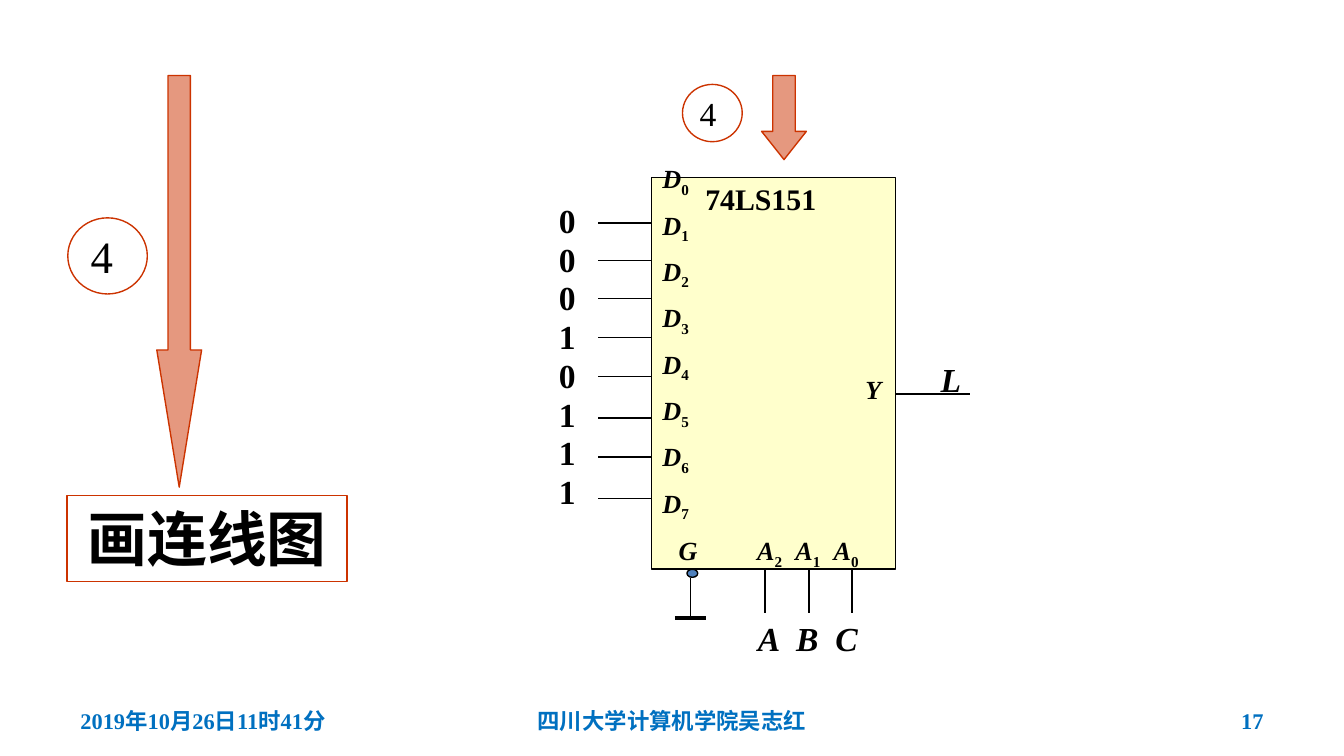
from typing import NamedTuple

from lxml.etree import SubElement
from pptx import Presentation
from pptx.dml.color import RGBColor
from pptx.enum.shapes import MSO_CONNECTOR as Connector, MSO_SHAPE as Preset
from pptx.enum.text import MSO_ANCHOR as Anchor, MSO_AUTO_SIZE as AutoSize, PP_ALIGN as Align
from pptx.oxml.ns import qn
from pptx.util import Pt

BLACK = RGBColor(0x00, 0x00, 0x00)
RED = RGBColor(0xCC, 0x33, 0x00)
YELLOW = RGBColor(0xFF, 0xFF, 0xCC)
BLUE = RGBColor(0x4F, 0x81, 0xBD)
FOOTER_BLUE = RGBColor(0x00, 0x70, 0xC0)
FONT = "Times New Roman"


class Box(NamedTuple):
    left: float
    top: float
    width: float
    height: float


class Run(NamedTuple):
    text: str
    italic: bool = False
    subscript: bool = False


class Style(NamedTuple):
    size: float
    color: RGBColor = BLACK
    bold: bool = True
    align: Align = Align.LEFT
    anchor: Anchor = Anchor.TOP
    line_spacing: float = 1.0
    space_before: float = 0
    top_inset: float = 3.6
    tabs: tuple = ()
    grow: bool = True


class Step(NamedTuple):
    circle: Box
    size: float
    center_x: float
    center_y: float
    length: float
    head: float


def write(shape, paragraphs: list, style: Style) -> None:
    frame = shape.text_frame
    frame.word_wrap = True
    frame.auto_size = AutoSize.SHAPE_TO_FIT_TEXT if style.grow else AutoSize.NONE
    frame.vertical_anchor = style.anchor
    frame.margin_top = Pt(style.top_inset)
    for index, runs in enumerate(paragraphs):
        paragraph = frame.add_paragraph() if index else frame.paragraphs[0]
        paragraph.alignment = style.align
        paragraph.line_spacing = style.line_spacing
        if index:
            paragraph.space_before = Pt(style.space_before)
        if style.tabs:
            tab_list = SubElement(paragraph._p.get_or_add_pPr(), qn("a:tabLst"))
            for position in style.tabs:
                SubElement(tab_list, qn("a:tab"), pos=str(Pt(position)), algn="l")
        for part in runs:
            run = paragraph.add_run()
            run.text = part.text
            font = run.font
            font.name, font.size, font.bold = FONT, Pt(style.size), style.bold
            font.italic = part.italic
            font.color.rgb = style.color
            if part.subscript:
                font._element.set("baseline", "-25000")


def add_text(shapes, box: Box, paragraphs: list, style: Style) -> None:
    write(shapes.add_textbox(*map(Pt, box)), paragraphs, style)


def add_preset(shapes, preset: Preset, box: Box, line: RGBColor, fill: RGBColor | None = None):
    shape = shapes.add_shape(preset, *map(Pt, box))
    shape.shadow.inherit = False
    shape.line.color.rgb = line
    shape.line.width = Pt(0.75)
    if fill is None:
        shape.fill.background()
    else:
        shape.fill.solid()
        shape.fill.fore_color.rgb = fill
    return shape


def add_wire(shapes, x1: float, y1: float, x2: float, y2: float, width: float = 0.75) -> None:
    wire = shapes.add_connector(Connector.STRAIGHT, Pt(x1), Pt(y1), Pt(x2), Pt(y2))
    wire.line.color.rgb = BLACK
    wire.line.width = Pt(width)
    SubElement(wire._element.spPr, qn("a:effectLst"))


def add_step(shapes, step: Step) -> None:
    thickness = 24
    box = Box(step.center_x - step.length / 2, step.center_y - thickness / 2, step.length, thickness)
    arrow = add_preset(shapes, Preset.RIGHT_ARROW, box, RED, RED)
    arrow.rotation = 90
    arrow.adjustments[0], arrow.adjustments[1] = 0.5, step.head
    color = arrow.fill._xPr.find(qn("a:solidFill"))[0]
    SubElement(color, qn("a:alpha"), val="50000")

    circle = add_preset(shapes, Preset.OVAL, step.circle, RED)
    style = Style(step.size, bold=False, align=Align.CENTER, anchor=Anchor.MIDDLE,
                  top_inset=0, grow=False)
    write(circle, [[Run("4")]], style)
    frame = circle.text_frame
    frame.word_wrap = False
    frame.margin_left = frame.margin_bottom = 0
    frame.margin_right = Pt(step.size / 4)


def add_multiplexer(shapes) -> None:
    # Wires, ending behind the chip
    for y in (119.5, 139.7, 159.8, 180.7, 201.6, 223.9, 244.8, 267.1):
        add_wire(shapes, 320.5, y, 369, y)
    add_wire(shapes, 454.3, 211, 519.8, 211)
    for x in (409.8, 433.5, 456.5):
        add_wire(shapes, x, 287, x, 328.5)

    # Grounded enable input
    add_preset(shapes, Preset.OVAL, Box(368, 305, 5.8, 4.3), BLACK, BLUE)
    add_wire(shapes, 370, 309.5, 370, 330.5)
    add_wire(shapes, 361.5, 331.2, 378.2, 331.2, 2.25)

    # Chip and its name
    add_preset(shapes, Preset.RECTANGLE, Box(349.2, 95, 130.5, 210), BLACK, YELLOW)
    add_text(shapes, Box(370.8, 93.6, 92, 24.5), [[Run("74LS151")]],
             Style(16, line_spacing=0.9, top_inset=5.5))

    # Pin names
    select_pins = [Run("G", True)]
    for digit in "210":
        select_pins += [Run("\tA", True), Run(digit, subscript=True)]
    add_text(shapes, Box(356.5, 283, 149, 24.5), [select_pins], Style(14, tabs=(42, 62.5, 83)))
    add_text(shapes, Box(456.5, 195.8, 39.6, 24.5), [[Run("Y", True)]],
             Style(14, anchor=Anchor.BOTTOM))
    data_pins = [[Run("D", True), Run(str(number), subscript=True)] for number in range(8)]
    add_text(shapes, Box(347.8, 102.2, 76.3, 181.4), data_pins,
             Style(14, anchor=Anchor.BOTTOM, line_spacing=1.3))

    # Signals
    add_text(shapes, Box(398.9, 331.2, 99.4, 22.3), [[Run("A\tB\tC", True)]],
             Style(18, line_spacing=0.7, tabs=(20.5, 41.5), top_inset=5.8))
    add_text(shapes, Box(496.8, 186.5, 41.8, 28.8), [[Run("L", True)]], Style(18, top_inset=5.8))
    add_text(shapes, Box(292.3, 110.2, 35.3, 170.6), [[Run(bit)] for bit in "00010111"],
             Style(18, line_spacing=0.5, space_before=9.95, top_inset=6.2))


def add_footer(shapes) -> None:
    for left, width, text, align in (
        (36, 168, "2019年10月26日11时41分", Align.LEFT),
        (246, 228, "四川大学计算机学院吴志红", Align.CENTER),
        (516, 168, "17", Align.RIGHT),
    ):
        add_text(shapes, Box(left, 375.3, width, 21.6), [[Run(text)]],
                 Style(12, FOOTER_BLUE, align=align, anchor=Anchor.MIDDLE, grow=False))


def main() -> None:
    presentation = Presentation()
    presentation.slide_width, presentation.slide_height = Pt(720), Pt(405)
    slide = presentation.slides.add_slide(presentation.slide_layouts[6])
    shapes = slide.shapes

    # Step title and arrows
    title = add_preset(shapes, Preset.RECTANGLE, Box(36, 265.5, 150, 46), RED)
    write(title, [[Run("画连线图")]], Style(32, align=Align.CENTER, grow=False))
    add_step(shapes, Step(Box(36.3, 116.7, 42.6, 40.8), 24, 96, 150.7, 220.5, 3.06))
    add_step(shapes, Step(Box(365.6, 45.2, 32, 30.7), 18, 420, 63, 45, 0.63))

    add_multiplexer(shapes)
    add_footer(shapes)
    presentation.save("out.pptx")


if __name__ == "__main__":
    main()
